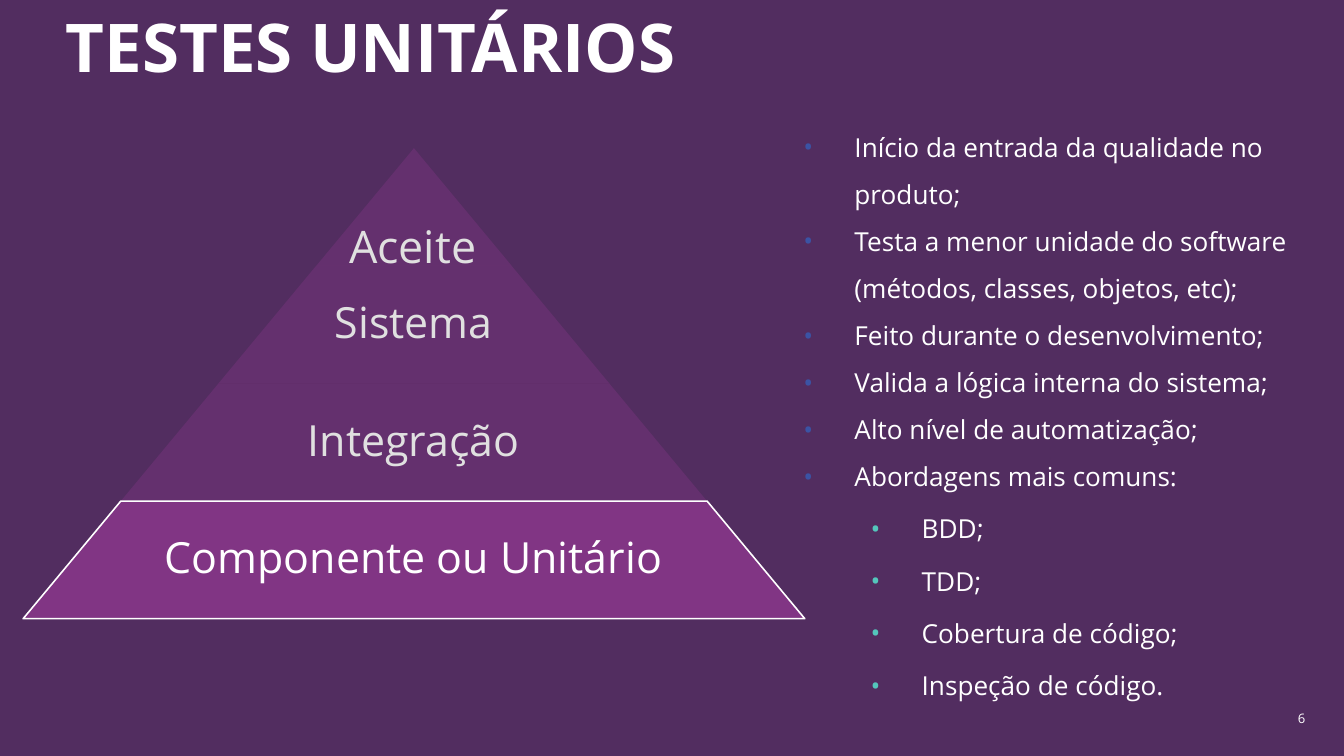
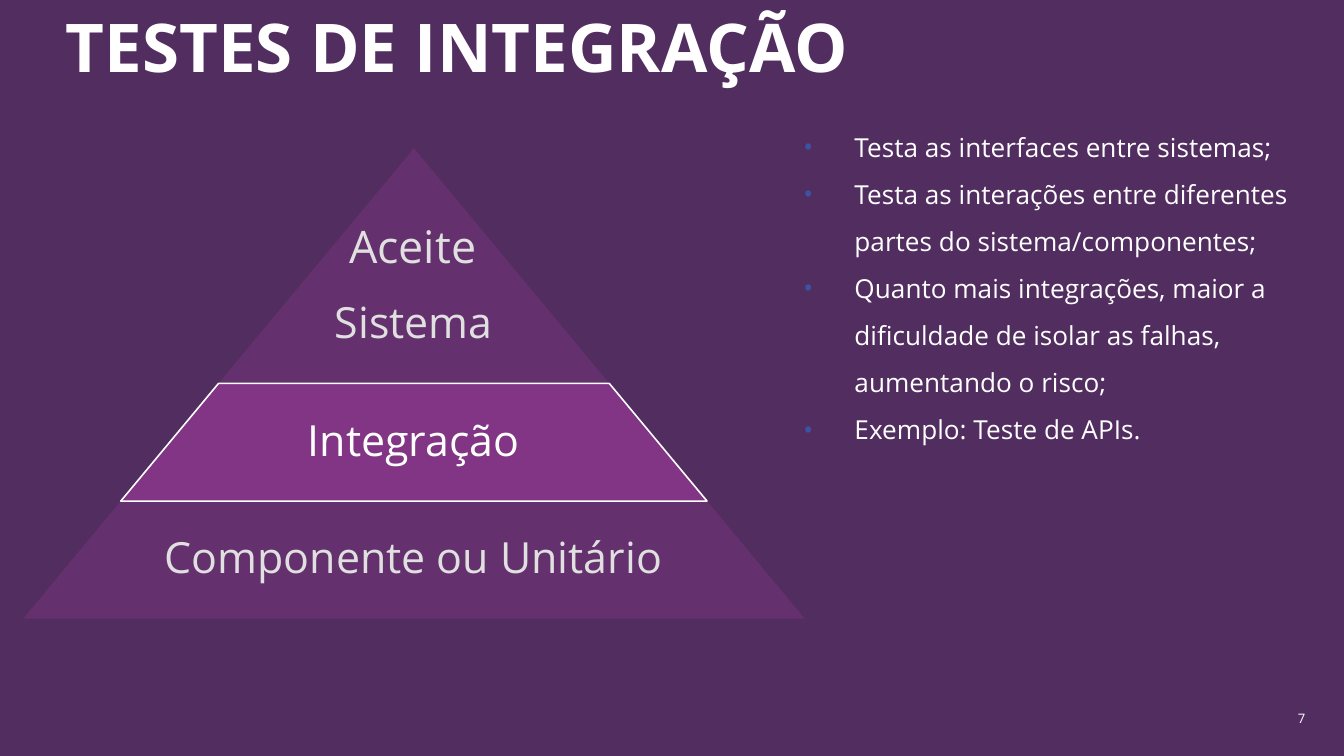
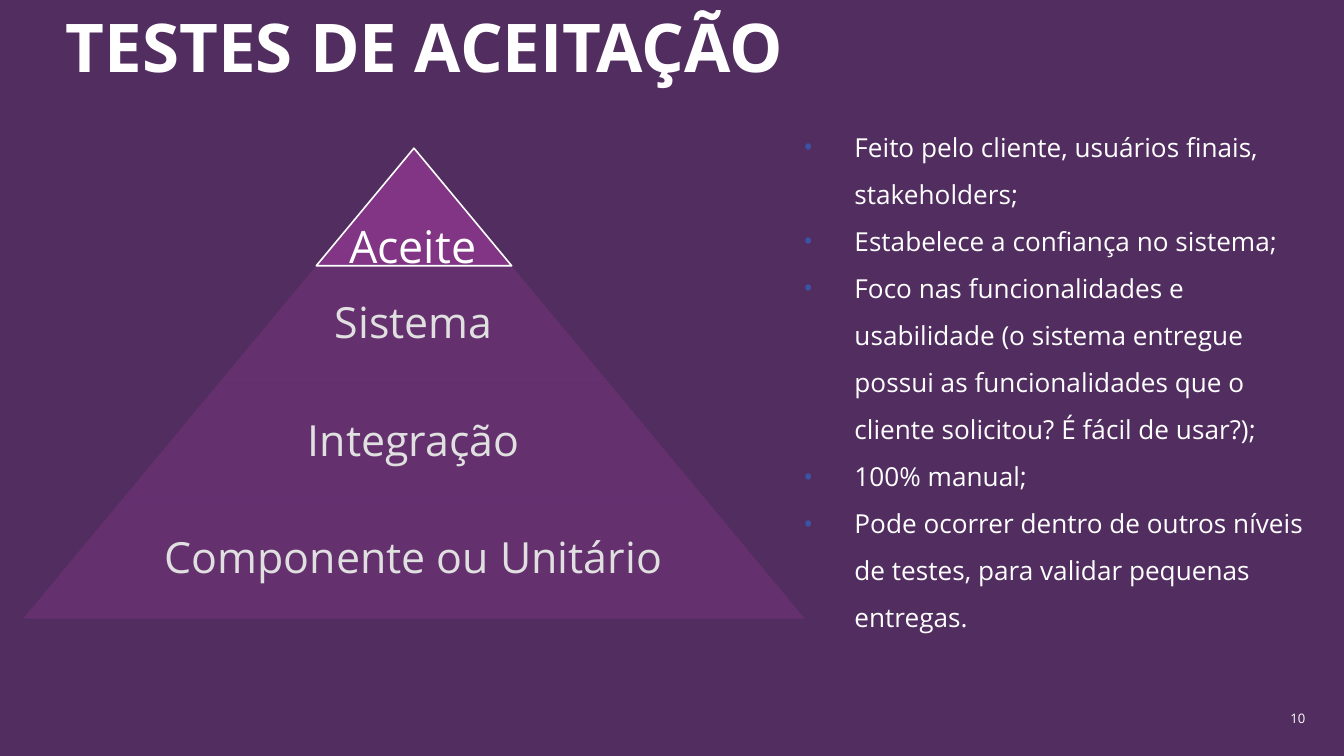
from dataclasses import dataclass

from lxml.etree import SubElement
from pptx import Presentation
from pptx.dml.color import RGBColor
from pptx.enum.shapes import MSO_SHAPE as Shape
from pptx.enum.text import MSO_ANCHOR as Anchor, MSO_AUTO_SIZE as AutoSize, PP_ALIGN as Align
from pptx.oxml.ns import qn
from pptx.util import Inches, Pt

TIERS = ["Aceite", "Sistema", "Integração", "Componente ou Unitário"]

PAGES = [
    {
        "title": "TESTES UNITÁRIOS",
        "number": "6",
        "highlight": "Componente ou Unitário",
        "points": [
            (0, "Início da entrada da qualidade no produto;"),
            (0, "Testa a menor unidade do software (métodos, classes, objetos, etc);"),
            (0, "Feito durante o desenvolvimento;"),
            (0, "Valida a lógica interna do sistema;"),
            (0, "Alto nível de automatização;"),
            (0, "Abordagens mais comuns:"),
            (1, "BDD;"),
            (1, "TDD;"),
            (1, "Cobertura de código;"),
            (1, "Inspeção de código."),
        ],
    },
    {
        "title": "TESTES DE INTEGRAÇÃO",
        "number": "7",
        "highlight": "Integração",
        "points": [
            (0, "Testa as interfaces entre sistemas;"),
            (0, "Testa as interações entre diferentes partes do sistema/componentes;"),
            (0, "Quanto mais integrações, maior a dificuldade de isolar as falhas, aumentando o risco;"),
            (0, "Exemplo: Teste de APIs."),
        ],
    },
    {
        "title": "TESTES DE ACEITAÇÃO",
        "number": "10",
        "highlight": "Aceite",
        "points": [
            (0, "Feito pelo cliente, usuários finais, stakeholders;"),
            (0, "Estabelece a confiança no sistema;"),
            (0, "Foco nas funcionalidades e usabilidade (o sistema entregue possui as "
                "funcionalidades que o cliente solicitou? É fácil de usar?);"),
            (0, "100% manual;"),
            (0, "Pode ocorrer dentro de outros níveis de testes, para validar pequenas entregas."),
        ],
    },
]


@dataclass(frozen=True)
class Theme:
    font: str = "Open Sans"
    background: str = "522D60"
    tier: str = "813584"
    text: str = "FFFFFF"
    faded_text: str = "E0E0E0"
    bullets: tuple = ("3B53A4", "54C6BC")
    faded_opacity: int = 40
    title_size: int = 36
    peak_size: int = 24
    tier_size: int = 23
    body_size: int = 14
    number_size: int = 7
    outline: float = 0.85


THEME = Theme()
WIDTH = Inches(10)
HEIGHT = WIDTH * 9 // 16
COLUMN, ROW = WIDTH / 100, HEIGHT / 100

TITLE_AREA = (4.9, 2.5, 66.7, 7)
NUMBER_AREA = (74.8, 92.3, 23.3, 5.3)
POINTS_AREA = (58.8, 14.4, 39.4, 72.7)
PEAK_AREA = (25, 24.5, 11.6, 11.4)
PYRAMID_CENTER, PYRAMID_TOP = 30.8, 19.6
TIER_STEP, TIER_HEIGHT = 14.54, 15.56
LABEL_SHARE = 0.65
HANGING = Inches(0.38)
LEVEL_INDENT = Inches(0.5)


def place(left, top, width, height):
    return [round(n) for n in (left * COLUMN, top * ROW, width * COLUMN, height * ROW)]


def style(para, size, color=THEME.text, bold=False):
    para.font.name = THEME.font
    para.font.size = Pt(size)
    para.font.bold = bold
    para.font.color.rgb = RGBColor.from_string(color)


def add_text(shapes, area, text, size, color=THEME.text, bold=False,
             align=Align.LEFT, anchor=Anchor.MIDDLE, inset=None, spacing=None):
    box = shapes.add_textbox(*place(*area))
    frame = box.text_frame
    frame.word_wrap = True
    frame.vertical_anchor = anchor
    if inset is not None:
        frame.margin_left = frame.margin_right = Inches(inset)
        frame.margin_top = frame.margin_bottom = Inches(inset)
    para = frame.paragraphs[0]
    para.text = text
    para.alignment = align
    if spacing:
        para.line_spacing = spacing
    style(para, size, color, bold)
    return frame


def add_points(page, points):
    frame = page.shapes.add_textbox(*place(*POINTS_AREA)).text_frame
    frame.word_wrap = True
    for index, (level, text) in enumerate(points):
        para = frame.add_paragraph() if index else frame.paragraphs[0]
        para.text = text
        para.level = level
        para.line_spacing = 1.5
        if level:
            para.space_before = Pt(0.2 * THEME.body_size)
        props = para._p.get_or_add_pPr()
        props.set("marL", str(HANGING + level * LEVEL_INDENT))
        props.set("indent", str(-HANGING))
        color = SubElement(props, qn("a:buClr"))
        SubElement(color, qn("a:srgbClr"), val=THEME.bullets[level])
        SubElement(props, qn("a:buFont"), typeface=THEME.font)
        SubElement(props, qn("a:buChar"), char="•")
        style(para, THEME.body_size)


def label_color(active):
    return THEME.text if active else THEME.faded_text


def add_tier(shapes, index, active):
    width = TIER_STEP * (index + 1)
    top = PYRAMID_TOP + index * TIER_HEIGHT
    tier = shapes.add_shape(
        Shape.TRAPEZOID, *place(PYRAMID_CENTER - width / 2, top, width, TIER_HEIGHT))
    tier.adjustments[0] = TIER_STEP * COLUMN / 2 / (TIER_HEIGHT * ROW)
    tier.shadow.inherit = False
    tier.fill.solid()
    tier.fill.fore_color.rgb = RGBColor.from_string(THEME.tier)
    if active:
        tier.line.color.rgb = RGBColor.from_string(THEME.text)
        tier.line.width = Pt(THEME.outline)
    else:
        color = tier.element.spPr.find(".//" + qn("a:srgbClr"))
        SubElement(color, qn("a:alpha"), val=str(THEME.faded_opacity * 1000))
        tier.line.fill.background()
    if index:
        label = width * LABEL_SHARE
        add_text(shapes, (PYRAMID_CENTER - label / 2, top, label, TIER_HEIGHT),
                 TIERS[index], THEME.tier_size, label_color(active),
                 align=Align.CENTER, inset=0.03, spacing=0.9)


def add_pyramid(page, highlight):
    chosen = TIERS.index(highlight)
    group = page.shapes.add_group_shape()
    for index in sorted(range(len(TIERS)), key=lambda tier: tier == chosen):
        add_tier(group.shapes, index, index == chosen)
    peak = add_text(page.shapes, PEAK_AREA, TIERS[0], THEME.peak_size,
                    label_color(chosen == 0), anchor=Anchor.TOP, spacing=1.5)
    peak.word_wrap = False
    peak.auto_size = AutoSize.SHAPE_TO_FIT_TEXT


def add_page(deck, content):
    page = deck.slides.add_slide(deck.slide_layouts[6])
    page.background.fill.solid()
    page.background.fill.fore_color.rgb = RGBColor.from_string(THEME.background)
    add_text(page.shapes, TITLE_AREA, content["title"], THEME.title_size, bold=True, inset=0)
    add_text(page.shapes, NUMBER_AREA, content["number"], THEME.number_size, align=Align.RIGHT)
    add_pyramid(page, content["highlight"])
    add_points(page, content["points"])


def main():
    deck = Presentation()
    deck.slide_width, deck.slide_height = WIDTH, HEIGHT
    for content in PAGES:
        add_page(deck, content)
    deck.save("out.pptx")


if __name__ == "__main__":
    main()
